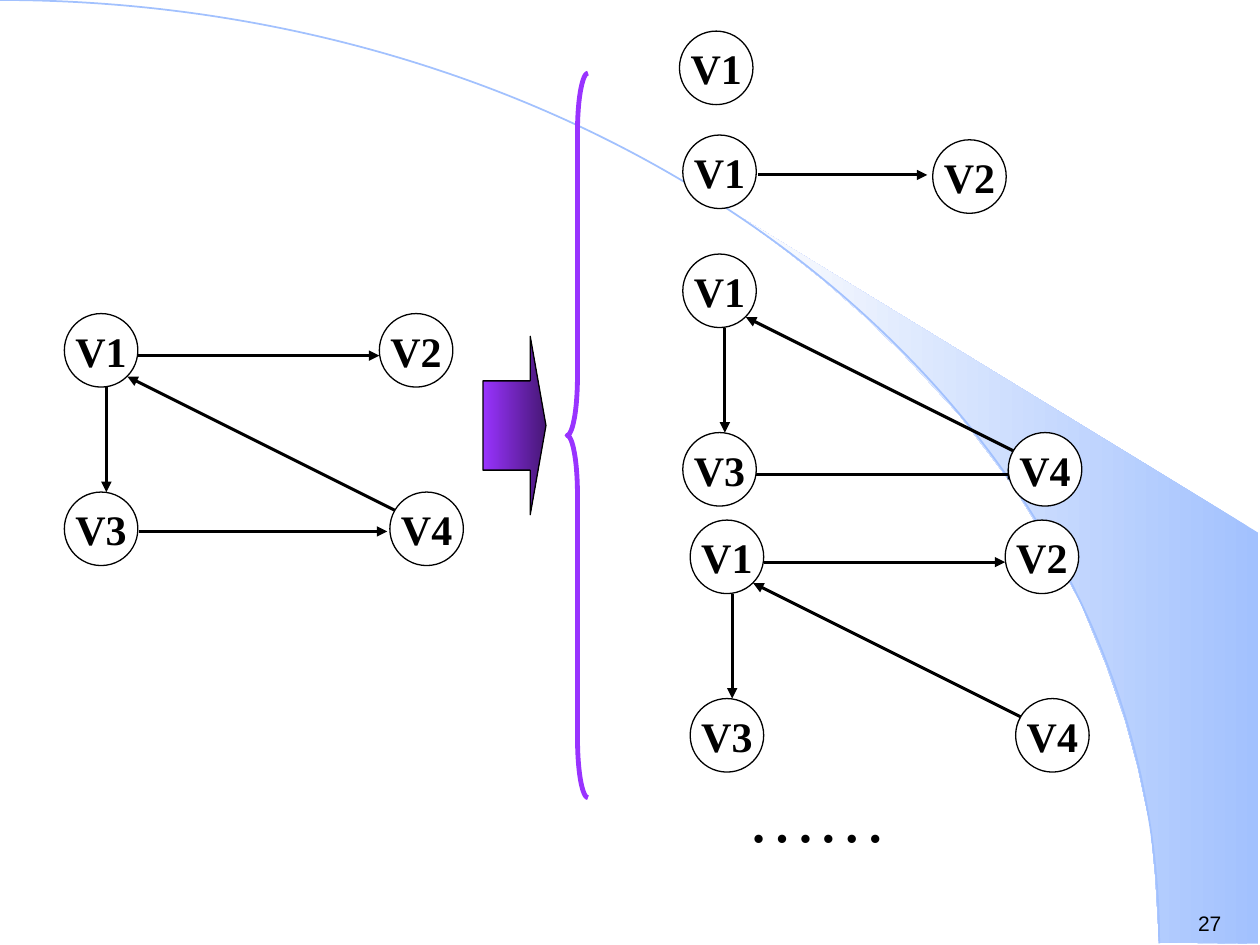
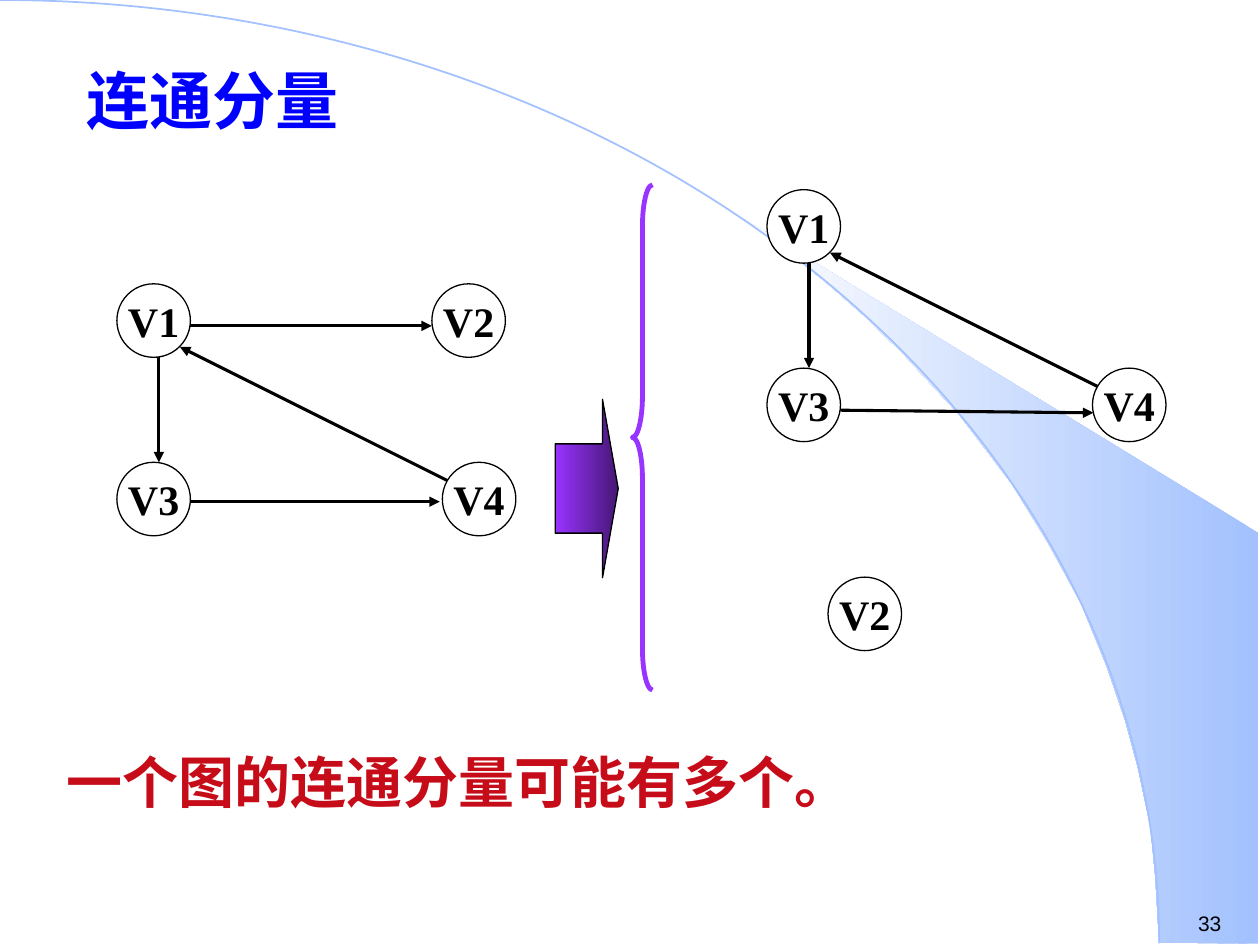
from dataclasses import dataclass

import pptx
import pptx.dml.color
import pptx.enum.dml
import pptx.enum.shapes
import pptx.enum.text
import pptx.oxml
import pptx.oxml.ns
import pptx.presentation
import pptx.shapes.autoshape
import pptx.slide
import pptx.text.text
import pptx.util

Pt = pptx.util.Pt
SHAPES = pptx.enum.shapes.MSO_SHAPE

COLORS = {
    "white": "FFFFFF",
    "ink": "000000",
    "title": "0000FF",
    "caption": "C60C19",
    "sky": "A2C1FE",
    "haze": "FEFEFE",
    "violet": "9933FF",
    "plum": "461775",
}
SERIF = "Times New Roman"
SANS = "Arial"
TITLE_ONLY, BLANK = 5, 6

NODE_SIZE = 42
NODE_OFFSETS = {"V1": (0, 0), "V2": (180, 0), "V3": (0, 102), "V4": (186, 102)}

# Lower edge of the sweeping band, from its tip to the foot of the slide
BAND_CURVE = [
    (449.3, 143.3), (470.2, 159.8), (493.2, 180), (515.5, 201.6),
    (548.6, 237.6), (578.2, 276.5), (599, 310.3), (617.8, 344.9),
    (632.2, 380.2), (643, 411.8), (650.2, 438.5), (657.4, 472.3),
    (660.2, 501.1),
]
BAND_CORNERS = [(662.4, 538.6), (719.3, 539.3), (719.3, 304.6), (424.1, 124.6)]


@dataclass(frozen=True)
class Edge:
    """An arrow, placed relative to the top left of its graph."""
    start: tuple[float, float]
    end: tuple[float, float]


V1_V2 = Edge((42, 24), (180, 24))
V1_V3 = Edge((24, 42), (24, 102))
V3_V4 = Edge((42.5, 124.5), (184.5, 124.5))
V4_V1 = Edge((192, 114), (36, 36))
FULL_EDGES = (V1_V3, V1_V2, V3_V4, V4_V1)


@dataclass(frozen=True)
class Graph:
    left: float
    top: float
    nodes: tuple[str, ...]
    edges: tuple[Edge, ...] = ()
    moved: tuple[tuple[str, tuple[float, float]], ...] = ()


@dataclass(frozen=True)
class Brace:
    left: float
    top: float
    width: float
    height: float
    curl: float


@dataclass(frozen=True)
class Label:
    text: str
    left: float
    top: float
    width: float
    height: float
    size: float
    color: str = "ink"
    font: str = SERIF
    bold: bool = False


def rgb(name: str) -> pptx.dml.color.RGBColor:
    return pptx.dml.color.RGBColor.from_string(COLORS[name])


def add_run(paragraph: pptx.text.text._Paragraph, label: Label) -> None:
    run = paragraph.add_run()
    run.text = label.text
    run.font.name = label.font
    run.font.size = Pt(label.size)
    run.font.bold = label.bold
    run.font.color.rgb = rgb(label.color)


def add_label(slide: pptx.slide.Slide, label: Label) -> None:
    box = slide.shapes.add_textbox(
        Pt(label.left), Pt(label.top), Pt(label.width), Pt(label.height))
    box.text_frame.word_wrap = True
    add_run(box.text_frame.paragraphs[0], label)


def fill_title(slide: pptx.slide.Slide, label: Label) -> None:
    title = slide.shapes.title
    title.left, title.top = Pt(label.left), Pt(label.top)
    title.width, title.height = Pt(label.width), Pt(label.height)
    frame = title.text_frame
    frame.auto_size = pptx.enum.text.MSO_AUTO_SIZE.NONE
    frame.vertical_anchor = pptx.enum.text.MSO_ANCHOR.TOP
    paragraph = frame.paragraphs[0]
    paragraph.alignment = pptx.enum.text.PP_ALIGN.LEFT
    add_run(paragraph, label)


def fill_gradient(shape: pptx.shapes.autoshape.Shape, right: str, left: str) -> None:
    shape.fill.gradient()
    shape.fill.gradient_angle = 180
    for stop, color, position in zip(shape.fill.gradient_stops, (right, left), (0, 1)):
        stop.color.rgb = rgb(color)
        stop.position = position


def add_outlined(slide: pptx.slide.Slide, kind: SHAPES, left: float, top: float,
                 width: float, height: float, color: str,
                 weight: float) -> pptx.shapes.autoshape.Shape:
    """Add an unfilled preset shape with a coloured outline."""
    shape = slide.shapes.add_shape(kind, Pt(left), Pt(top), Pt(width), Pt(height))
    shape.shadow.inherit = False
    shape.fill.background()
    shape.line.color.rgb = rgb(color)
    shape.line.width = Pt(weight)
    return shape


def add_backdrop(slide: pptx.slide.Slide, number: str) -> None:
    """Draw the band, the arc and the slide number that every slide has."""
    points = [(Pt(x), Pt(y)) for x, y in BAND_CORNERS + BAND_CURVE]
    builder = slide.shapes.build_freeform(*points[0])
    builder.add_line_segments(points[1:], close=True)
    band = builder.convert_to_shape()
    band.shadow.inherit = False
    band.line.fill.background()
    fill_gradient(band, "sky", "haze")
    add_outlined(slide, SHAPES.ARC, -662.4, 0, 1324.8, 1078, "sky", 1)
    add_label(slide, Label(number, 677.5, 517, 42.5, 21.6, 12, font=SANS))


def add_edge(slide: pptx.slide.Slide, graph: Graph, edge: Edge) -> None:
    (start_x, start_y), (end_x, end_y) = edge.start, edge.end
    connector = slide.shapes.add_connector(
        pptx.enum.shapes.MSO_CONNECTOR.STRAIGHT,
        Pt(graph.left + start_x), Pt(graph.top + start_y),
        Pt(graph.left + end_x), Pt(graph.top + end_y))
    connector.line.color.rgb = rgb("ink")
    connector.line.width = Pt(1.75)
    namespace = pptx.oxml.ns.nsdecls("a")
    connector.line._get_or_add_ln().append(
        pptx.oxml.parse_xml(f'<a:tailEnd {namespace} type="triangle"/>'))
    connector._element.spPr.append(
        pptx.oxml.parse_xml(f"<a:effectLst {namespace}/>"))


def add_node(slide: pptx.slide.Slide, name: str, left: float, top: float) -> None:
    node = add_outlined(slide, SHAPES.FLOWCHART_CONNECTOR, left, top,
                        NODE_SIZE, NODE_SIZE, "ink", 0.75)
    node.fill.solid()
    node.fill.fore_color.rgb = rgb("white")
    frame = node.text_frame
    frame.word_wrap = False
    frame.vertical_anchor = pptx.enum.text.MSO_ANCHOR.MIDDLE
    paragraph = frame.paragraphs[0]
    paragraph.alignment = pptx.enum.text.PP_ALIGN.CENTER
    add_run(paragraph, Label(name, left, top, NODE_SIZE, NODE_SIZE, 24, bold=True))


def add_graph(slide: pptx.slide.Slide, graph: Graph) -> None:
    for edge in graph.edges:
        add_edge(slide, graph, edge)
    offsets = NODE_OFFSETS | dict(graph.moved)
    for name in graph.nodes:
        x, y = offsets[name]
        add_node(slide, name, graph.left + x, graph.top + y)


def add_brace(slide: pptx.slide.Slide, brace: Brace) -> None:
    shape = add_outlined(slide, SHAPES.LEFT_BRACE, brace.left, brace.top,
                         brace.width, brace.height, "violet", 2.75)
    shape.adjustments[0] = brace.curl
    shape.adjustments[1] = 0.5


def add_block_arrow(slide: pptx.slide.Slide, left: float, top: float) -> None:
    arrow = add_outlined(slide, SHAPES.RIGHT_ARROW, left, top, 36, 102, "ink", 0.75)
    arrow.adjustments[0] = 0.5
    arrow.adjustments[1] = 0.25
    fill_gradient(arrow, "plum", "violet")


def build_subgraphs(presentation: pptx.presentation.Presentation) -> None:
    slide = presentation.slides.add_slide(presentation.slide_layouts[BLANK])
    add_backdrop(slide, "27")
    hidden_head = Edge((42, 126), (191.5, 126))
    graphs = (
        Graph(36.8, 179.2, ("V4", "V3", "V2", "V1"), FULL_EDGES),
        Graph(388.3, 17.8, ("V1",)),
        Graph(390.2, 77.2, ("V2", "V1"), (Edge((43.2, 22.8), (139.7, 22.8)),),
              moved=(("V2", (142.8, 2.7)),)),
        Graph(394.4, 297.2, ("V4", "V3", "V2", "V1"), (V1_V3, V1_V2, V4_V1)),
        Graph(390.2, 145.2, ("V4", "V3", "V1"), (V1_V3, hidden_head, V4_V1)),
    )
    for graph in graphs:
        add_graph(slide, graph)
    add_brace(slide, Brace(324, 41.8, 12, 414, 2.82))
    add_block_arrow(slide, 276, 192.2)
    add_label(slide, Label("……", 419.8, 437.8, 162, 55.4, 40))


def build_components(presentation: pptx.presentation.Presentation) -> None:
    slide = presentation.slides.add_slide(presentation.slide_layouts[TITLE_ONLY])
    add_backdrop(slide, "33")
    fill_title(slide, Label("连通分量", 42.5, 31.7, 228.2, 50.4, 36, "title", bold=True))
    sloping = Edge((42, 126), (186.5, 127.5))
    graphs = (
        Graph(438.3, 108.4, ("V4", "V3", "V1"), (V1_V3, sloping, V4_V1)),
        Graph(473.2, 329.8, ("V2",), moved=(("V2", (0, 0)),)),
        Graph(66.8, 162.2, ("V4", "V3", "V2", "V1"), FULL_EDGES),
    )
    for graph in graphs:
        add_graph(slide, graph)
    add_block_arrow(slide, 317.3, 228.2)
    add_brace(slide, Brace(361.4, 105.6, 11.5, 288.7, 2.06))
    add_label(slide, Label("一个图的连通分量可能有多个。", 31, 423.4, 607, 46.1, 32,
                           "caption", bold=True))


def main() -> None:
    presentation = pptx.Presentation()
    presentation.slide_width, presentation.slide_height = Pt(720), Pt(540)
    build_subgraphs(presentation)
    build_components(presentation)
    presentation.save("out.pptx")


if __name__ == "__main__":
    main()
